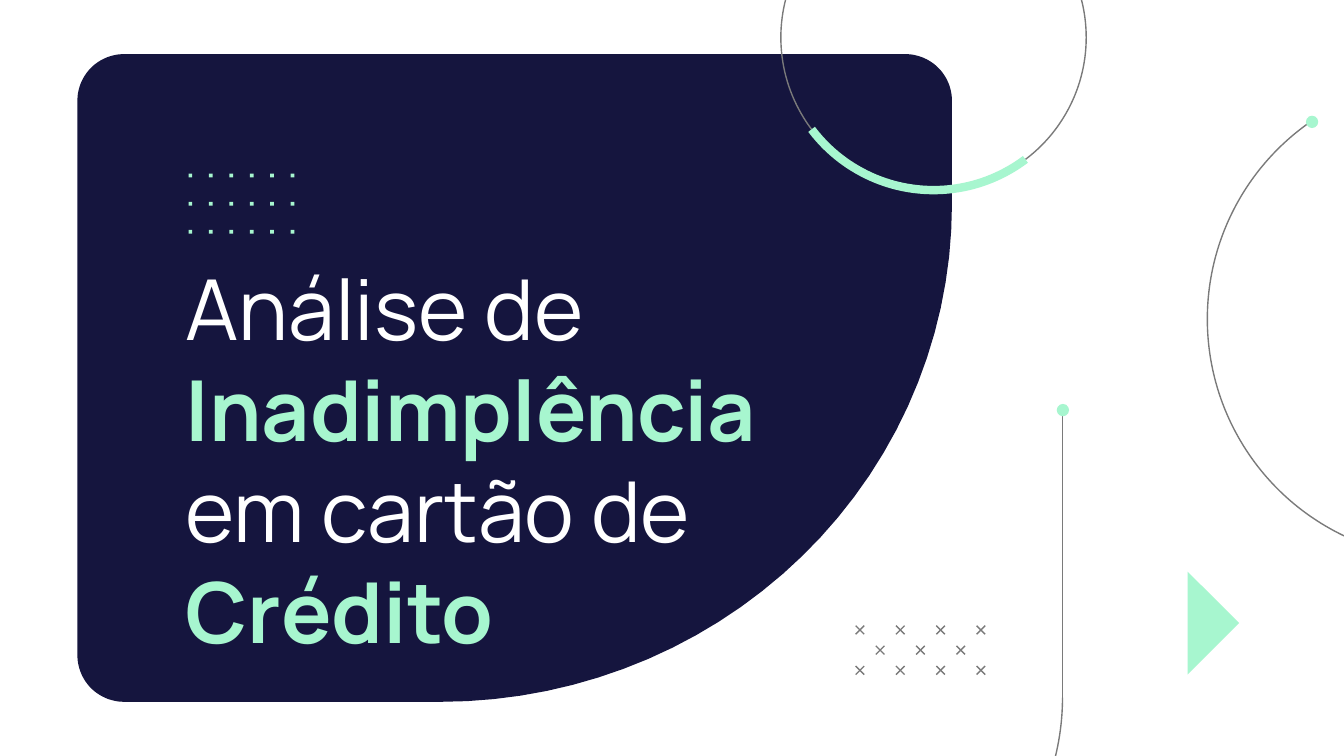
from math import cos, radians, sin

from lxml.etree import SubElement
from pptx import Presentation
from pptx.dml.color import RGBColor
from pptx.enum.shapes import MSO_CONNECTOR as LINK, MSO_SHAPE as SHAPE
from pptx.enum.text import MSO_ANCHOR, MSO_AUTO_SIZE, PP_ALIGN
from pptx.oxml.ns import qn
from pptx.util import Pt

NAVY, MINT, GRAY, WHITE = "15153E", "A7F6CF", "7A7A7A", "FFFFFF"
rgb = RGBColor.from_string


def style(item, fill=None, line=None, width=0.75):
    if fill:
        item.fill.solid()
        item.fill.fore_color.rgb = rgb(fill)
    if line:
        item.line.color.rgb = rgb(line)
        item.line.width = Pt(width)
    else:
        item.line.fill.background()
    SubElement(item._element.spPr, qn("a:effectLst"))


def write(paragraph, text, color=WHITE, bold=False, size=45, font="Manrope"):
    run = paragraph.add_run()
    run.text = text
    run.font.name = font
    run.font.size = Pt(size)
    run.font.bold = bold
    run.font.color.rgb = rgb(color)


prs = Presentation()
prs.slide_width, prs.slide_height = Pt(720), Pt(405)
slide = prs.slides.add_slide(prs.slide_layouts[0])
shapes = slide.shapes
slide.background.fill.solid()
slide.background.fill.fore_color.rgb = rgb(WHITE)

corners = [
    (66.5, 54, 25, 25, 180),
    (485, 54, 25, 25, 270),
    (236, 109.5, 274, 266.5, 0),
    (66.5, 351, 25, 25, 90),
]
outline = []
for cx, cy, rx, ry, start in corners:
    for step in range(31):
        angle = radians(start + 3 * step)
        outline.append((Pt(cx + rx * cos(angle)), Pt(cy + ry * sin(angle))))
builder = shapes.build_freeform(*outline[0], scale=1.0)
builder.add_line_segments(outline[1:], close=True)
style(builder.convert_to_shape(), fill=NAVY)

builder = shapes.build_freeform(Pt(636.2), Pt(306.2), scale=1.0)
builder.add_line_segments([(Pt(663.8), Pt(333.8)), (Pt(636.2), Pt(361.4))], close=True)
style(builder.convert_to_shape(), fill=MINT)

for row, count in enumerate([4, 3, 4]):
    for col in range(count):
        x = 458.4 + 21.6 * col + 10.8 * (row % 2)
        y = 335.2 + 10.8 * row
        for y1, y2 in [(y, y + 4.6), (y + 4.6, y)]:
            stroke = shapes.add_connector(LINK.STRAIGHT, Pt(x), Pt(y1), Pt(x + 4.6), Pt(y2))
            style(stroke, line=GRAY)

for col in range(6):
    for row in range(3):
        dot = shapes.add_shape(
            SHAPE.RECTANGLE, Pt(101 + 10.94 * col), Pt(93 + 15.1 * row), Pt(2), Pt(2))
        style(dot, fill=MINT)

stem = shapes.add_connector(LINK.STRAIGHT, Pt(569.2), Pt(220), Pt(569.2), Pt(373.7))
style(stem, line=GRAY)

arcs = [
    (268.2, 373.7, 301, 199.4, 0, 9, GRAY, 0.75),
    (500.1, 20.1, 81.8, 81.8, 143, 53, GRAY, 0.75),
    (500.1, 20.1, 81.8, 81.8, 53, 143, MINT, 4.5),
    (775.5, 171, 128.7, 128.7, 115, 235, GRAY, 0.75),
]
for cx, cy, rx, ry, start, end, color, width in arcs:
    arc = shapes.add_shape(SHAPE.ARC, Pt(cx - rx), Pt(cy - ry), Pt(2 * rx), Pt(2 * ry))
    arc.adjustments[0] = start * 0.6
    arc.adjustments[1] = end * 0.6
    arc.fill.background()
    style(arc, line=color, width=width)

for cx, cy in [(569.4, 219.7), (702.9, 65.3)]:
    tip = shapes.add_shape(SHAPE.OVAL, Pt(cx - 3.3), Pt(cy - 3.3), Pt(6.6), Pt(6.6))
    style(tip, fill=MINT)

subtitle = slide.placeholders[1]._element
subtitle.getparent().remove(subtitle)

title = shapes.title
title.left, title.top, title.width, title.height = Pt(92.2), Pt(130.3), Pt(377.3), Pt(226.8)
frame = title.text_frame
frame.word_wrap = True
frame.auto_size = MSO_AUTO_SIZE.NONE
frame.vertical_anchor = MSO_ANCHOR.TOP
frame.margin_left = frame.margin_right = frame.margin_top = frame.margin_bottom = Pt(7.2)
heading = frame.paragraphs[0]
heading.alignment = PP_ALIGN.LEFT
heading.line_spacing = 1.0
heading.space_before, heading.space_after = Pt(11), Pt(2)
write(heading, "Análise de ")
write(heading, "Inadimplência", color=MINT, bold=True)
write(heading, " em cartão de ")
heading.add_line_break()
write(heading, "Crédito", color=MINT, bold=True)
shapes._spTree.append(title._element)

prs.save("out.pptx")
